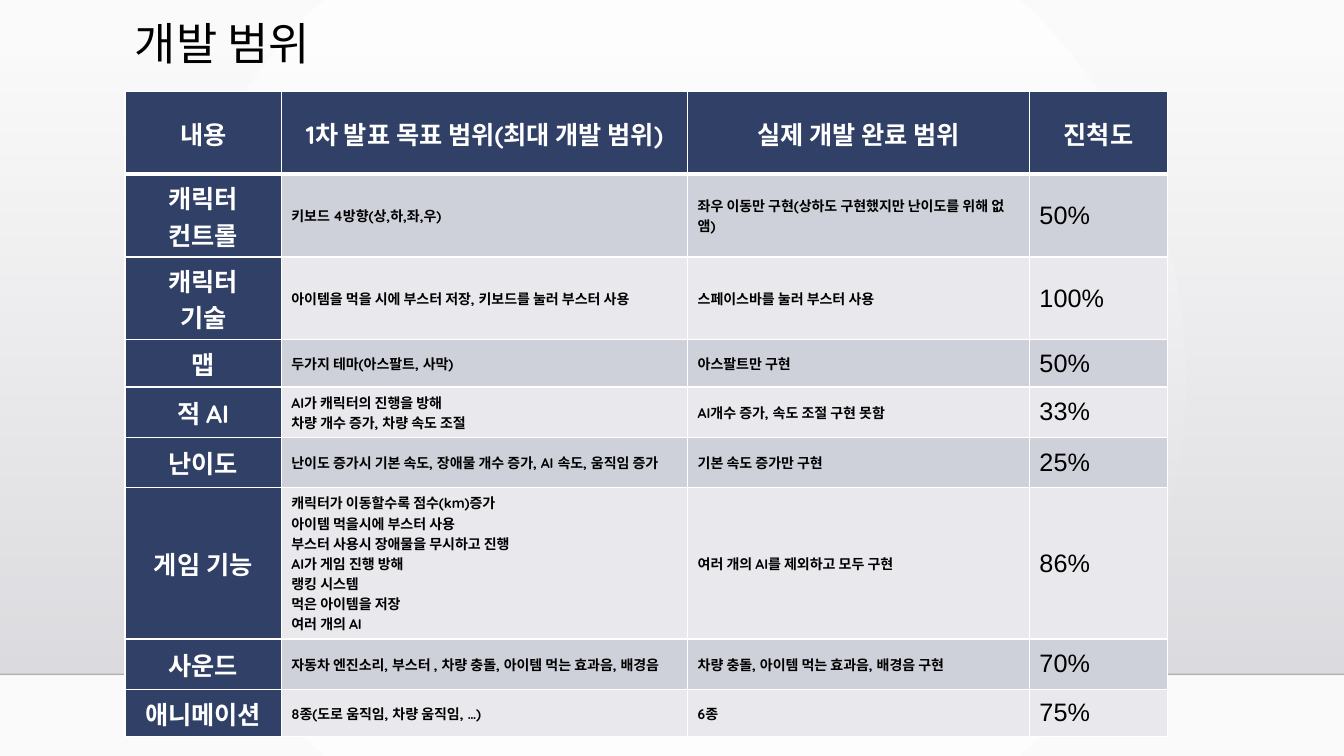
from lxml import etree
from pptx import Presentation
from pptx.dml.color import RGBColor
from pptx.enum.shapes import MSO_CONNECTOR, MSO_SHAPE
from pptx.enum.text import MSO_ANCHOR, PP_ALIGN
from pptx.oxml.ns import qn
from pptx.util import Inches, Pt

RECT, LINE = MSO_SHAPE.RECTANGLE, MSO_CONNECTOR.STRAIGHT
TOP, MID = MSO_ANCHOR.TOP, MSO_ANCHOR.MIDDLE
LEFT, MIDDLE = PP_ALIGN.LEFT, PP_ALIGN.CENTER
NAVY, WHITE, BLACK = "314066", "FFFFFF", "000000"
BANDS = ["E9E9ED", "CFD1DA"]
COLS = [1.55, 4.03, 3.39, 1.37]
HEIGHTS = [0.82, 0.82, 0.82, 0.47, 0.5, 0.5, 1.5, 0.5, 0.47]
ROWS = [
    ("내용", "1차 발표 목표 범위(최대 개발 범위)", "실제 개발 완료 범위", "진척도"),
    ("캐릭터\n컨트롤", "키보드 4방향(상,하,좌,우)",
     "좌우 이동만 구현(상하도 구현했지만 난이도를 위해 없앰)", "50%"),
    ("캐릭터\n기술", "아이템을 먹을 시에 부스터 저장, 키보드를 눌러 부스터 사용",
     "스페이스바를 눌러 부스터 사용", "100%"),
    ("맵", "두가지 테마(아스팔트, 사막)", "아스팔트만 구현", "50%"),
    ("적 AI", "AI가 캐릭터의 진행을 방해\n차량 개수 증가, 차량 속도 조절",
     "AI개수 증가, 속도 조절 구현 못함", "33%"),
    ("난이도", "난이도 증가시 기본 속도, 장애물 개수 증가, AI 속도, 움직임 증가",
     "기본 속도 증가만 구현", "25%"),
    ("게임 기능",
     "캐릭터가 이동할수록 점수(km)증가\n아이템 먹을시에 부스터 사용\n"
     "부스터 사용시 장애물을 무시하고 진행\nAI가 게임 진행 방해\n"
     "랭킹 시스템\n먹은 아이템을 저장\n여러 개의 AI",
     "여러 개의 AI를 제외하고 모두 구현", "86%"),
    ("사운드", "자동차 엔진소리, 부스터 , 차량 충돌, 아이템 먹는 효과음, 배경음",
     "차량 충돌, 아이템 먹는 효과음, 배경음 구현", "70%"),
    ("애니메이션", "8종(도로 움직임, 차량 움직임, …)", "6종", "75%"),
]


def color(code):
    """Turn a hex string into a colour."""
    return RGBColor.from_string(code)


def add(node, tag, **attrs):
    """Append a child element and return it."""
    return etree.SubElement(node, qn(tag), attrs)


def blend(root, stops, kind, **attrs):
    """Swap the first solid fill under root for a gradient."""
    solid = root.find(".//" + qn("a:solidFill"))
    grad = etree.Element(qn("a:gradFill"), rotWithShape="1")
    group = add(grad, "a:gsLst")
    for pos, code, alpha in stops:
        stop = add(group, "a:gs", pos=str(pos * 1000))
        tint = add(stop, "a:srgbClr", val=code)
        add(tint, "a:alpha", val=str(alpha * 1000))
    form = add(grad, kind, **attrs)
    if kind == "a:path":
        add(form, "a:fillToRect", l="50000", t="50000", r="50000", b="50000")
    solid.getparent().replace(solid, grad)


def write(frame, text, size, font, code, bold=False, align=LEFT):
    """Fill a text frame and format each run."""
    frame.text = text
    frame.word_wrap = True
    for para in frame.paragraphs:
        para.alignment = align
        for run in para.runs:
            run.font.size, run.font.name = Pt(size), font
            run.font.bold = bold
            run.font.color.rgb = color(code)


def edge(cell, **widths):
    """Draw white cell borders, 1 pt unless a side is named."""
    props = cell._tc.get_or_add_tcPr()
    for spot, side in enumerate("LRTB"):
        width = Pt(widths.get(side, 1))
        line = etree.Element(qn("a:ln" + side), w=str(width))
        add(add(line, "a:solidFill"), "a:srgbClr", val=WHITE)
        props.insert(spot, line)


def scene(slide, left, top, width, height):
    """Paint the backdrop, its shaded wall and the floor line."""
    slide.background.fill.solid()
    slide.background.fill.fore_color.rgb = color(WHITE)
    blend(slide._element, [(0, WHITE, 100), (100, "FAFAFA", 100)],
          "a:path", path="circle")
    box = [Inches(n) for n in (left, top, width, height)]
    wall = slide.shapes.add_shape(RECT, *box)
    wall.shadow.inherit = False
    wall.line.fill.background()
    wall.fill.solid()
    wall.fill.fore_color.rgb = color(WHITE)
    blend(wall._element, [(0, "DCDCE0", 0), (100, "DEDEE2", 100)],
          "a:lin", ang="5400000", scaled="0")
    base = Inches(top + height)
    floor = slide.shapes.add_connector(
        LINE, Inches(left), base, Inches(left + width), base)
    floor.line.width = Pt(1)
    floor.line.color.rgb = color("000001")
    props = floor._element.spPr
    add(props.find(".//" + qn("a:srgbClr")), "a:alpha", val="20000")
    add(props, "a:effectLst")


def title(slide, left, top, width, height):
    """Place the slide title."""
    box = slide.shapes.add_textbox(*map(Inches, (left, top, width, height)))
    frame = box.text_frame
    write(frame, "개발 범위", 32, "Quicksand", BLACK)
    frame.vertical_anchor = TOP
    frame.paragraphs[0].line_spacing = 0.9


def scope(slide, left, top):
    """Build the table of planned and finished scope."""
    shape = slide.shapes.add_table(
        len(ROWS), len(COLS), Inches(left), Inches(top),
        Inches(sum(COLS)), Inches(sum(HEIGHTS)))
    table = shape.table
    for col, width in zip(table.columns, COLS):
        col.width = Inches(width)
    for row, height in zip(table.rows, HEIGHTS):
        row.height = Inches(height)
    for r, texts in enumerate(ROWS):
        for c, text in enumerate(texts):
            cell = table.cell(r, c)
            cell.vertical_anchor = MID
            head = r == 0 or c == 0
            cell.fill.solid()
            cell.fill.fore_color.rgb = color(NAVY if head else BANDS[r % 2])
            if head:
                style = (18, "Quicksand", WHITE, True, MIDDLE)
            elif c == 3:
                style = (18, "Arial", BLACK)
            else:
                style = (10, "Quicksand", BLACK, True)
            write(cell.text_frame, text, *style)
            edge(cell, T=3 if r == 1 else 1, B=3 if r == 0 else 1)


def main():
    """Build the deck and save it."""
    deck = Presentation()
    deck.slide_width, deck.slide_height = Inches(13.33), Inches(7.5)
    slide = deck.slides.add_slide(deck.slide_layouts[6])
    scene(slide, 0, 0.51, 13.33, 6.18)
    title(slide, 1.24, 0.17, 10.5, 1.15)
    scope(slide, 1.24, 0.91)
    deck.save("out.pptx")


main()
